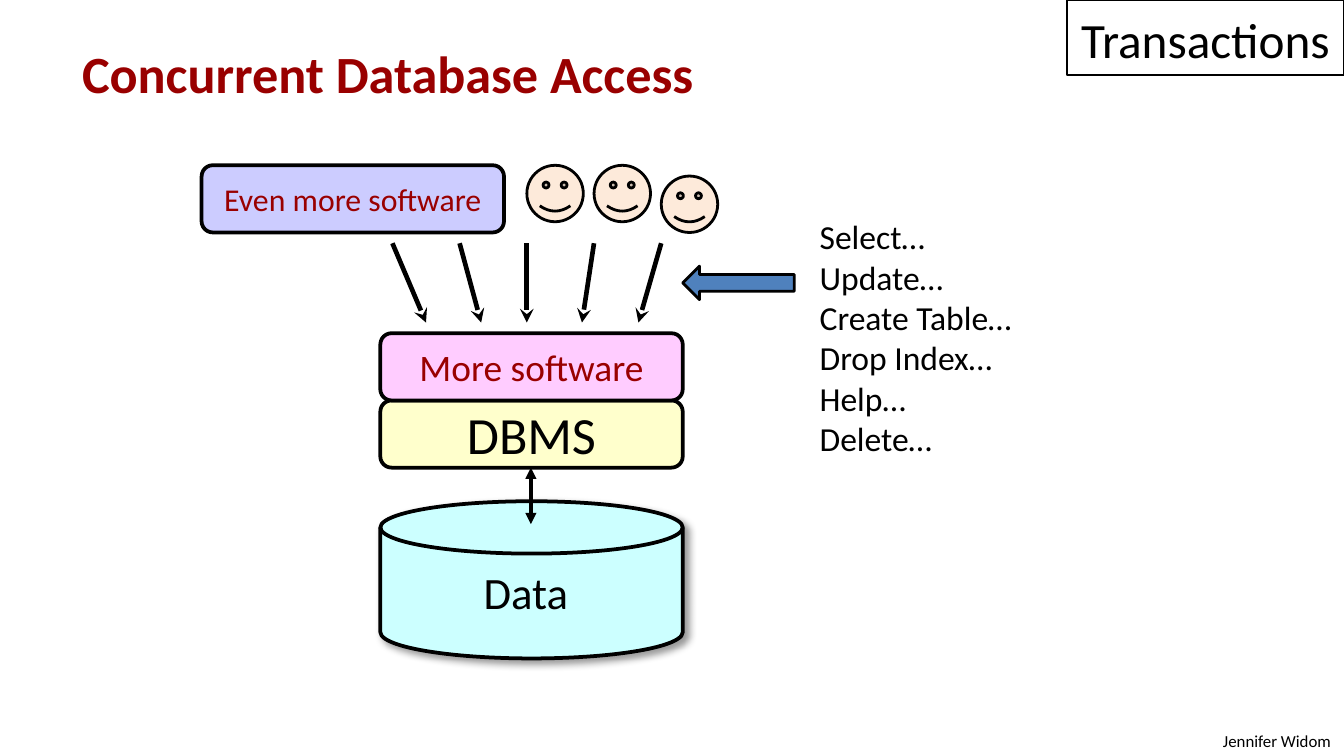
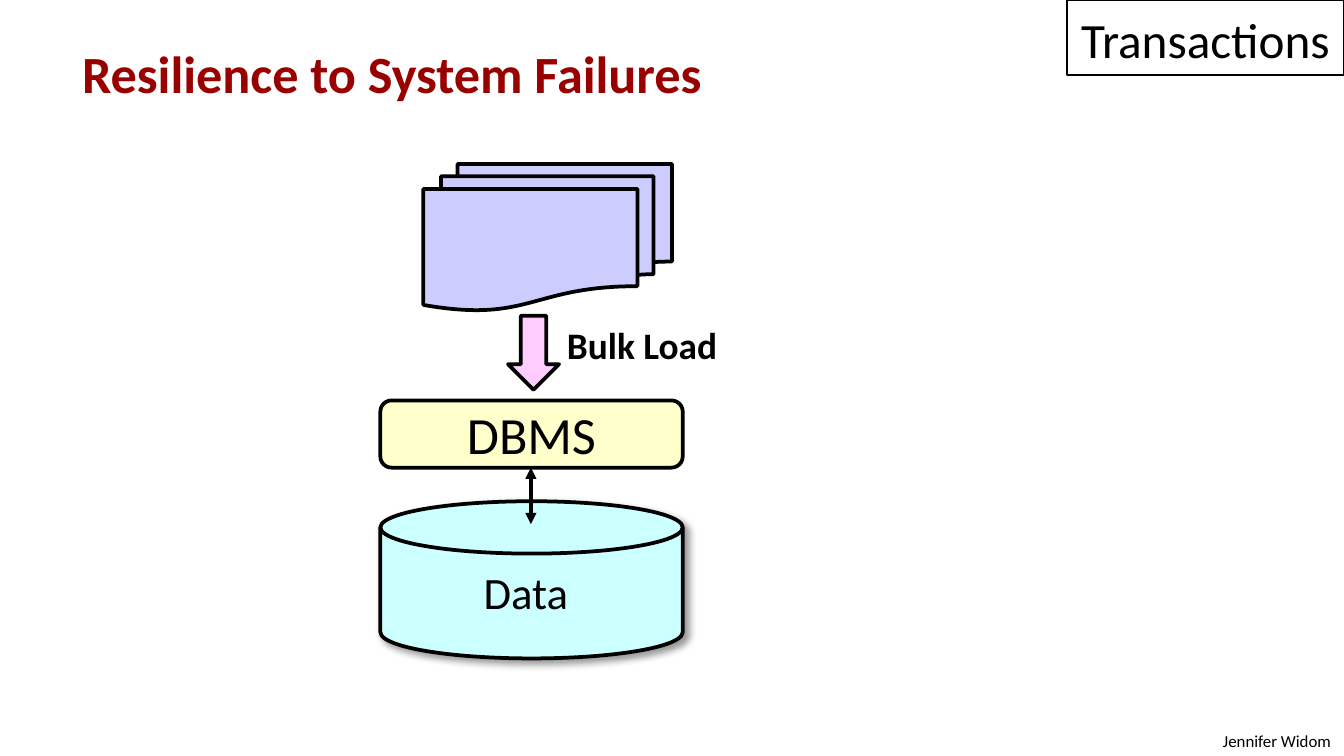
from dataclasses import dataclass
from typing import Optional

from lxml.etree import SubElement
from pptx import Presentation
from pptx.dml.color import RGBColor
from pptx.enum.shapes import MSO_CONNECTOR, MSO_SHAPE as Preset
from pptx.enum.text import MSO_ANCHOR as Anchor, MSO_AUTO_SIZE as AutoSize, PP_ALIGN as Align
from pptx.oxml.ns import qn
from pptx.shapes.autoshape import Shape
from pptx.slide import Slide
from pptx.text.text import TextFrame
from pptx.util import Inches, Pt

FONT = "Calibri"
BLACK = RGBColor(0x00, 0x00, 0x00)
DARK_RED = RGBColor(0x99, 0x00, 0x00)
AQUA = RGBColor(0xCC, 0xFF, 0xFF)
YELLOW = RGBColor(0xFF, 0xFF, 0xCC)
PINK = RGBColor(0xFF, 0xCC, 0xFF)
LAVENDER = RGBColor(0xCC, 0xCC, 0xFF)
SKIN = RGBColor(0xFD, 0xEA, 0xDA)
BLUE = RGBColor(0x4F, 0x81, 0xBD)

# The database stack stands in one column of equal-width boxes
STACK_LEFT, BOX_WIDTH, BOX_HEIGHT = 2.83, 2.25, 0.5
DBMS_TOP = 2.98


@dataclass(frozen=True)
class Block:
    """A filled, outlined preset shape; lengths in inches."""
    preset: Preset
    left: float
    top: float
    width: float
    height: float
    fill: Optional[RGBColor]
    outline: float = 2
    text: str = ""
    size: float = 18
    color: RGBColor = BLACK
    anchor: Anchor = Anchor.MIDDLE


@dataclass(frozen=True)
class Label:
    """Free text in a text box; lengths in inches."""
    text: str
    left: float
    top: float
    width: float
    height: float
    size: float
    bold: bool = False
    align: Align = Align.LEFT
    wrap: bool = False


@dataclass(frozen=True)
class Arrow:
    """A straight line with optional heads at its two ends."""
    start: tuple[float, float]
    end: tuple[float, float]
    width: float
    head: Optional[str] = None
    tail: Optional[str] = None


def write(frame: TextFrame, text: str, size: float, color: RGBColor,
          align: Align, bold: bool = False) -> None:
    frame.text = text
    for paragraph in frame.paragraphs:
        paragraph.alignment = align
        paragraph.font.name = FONT
        paragraph.font.size = Pt(size)
        paragraph.font.bold = bold
        paragraph.font.color.rgb = color


def draw_block(slide: Slide, block: Block) -> Shape:
    shape = slide.shapes.add_shape(block.preset, Inches(block.left), Inches(block.top),
                                   Inches(block.width), Inches(block.height))
    shape.shadow.inherit = False
    if block.fill is None:
        shape.fill.background()
    else:
        shape.fill.solid()
        shape.fill.fore_color.rgb = block.fill
    shape.line.color.rgb = BLACK
    shape.line.width = Pt(block.outline)
    if block.text:
        shape.text_frame.vertical_anchor = block.anchor
        write(shape.text_frame, block.text, block.size, block.color, Align.CENTER)
    return shape


def draw_label(slide: Slide, label: Label) -> None:
    box = slide.shapes.add_textbox(Inches(label.left), Inches(label.top),
                                   Inches(label.width), Inches(label.height))
    frame = box.text_frame
    frame.word_wrap = label.wrap
    frame.auto_size = AutoSize.SHAPE_TO_FIT_TEXT
    write(frame, label.text, label.size, BLACK, label.align, label.bold)


def draw_arrow(shapes, arrow: Arrow) -> None:
    """Draw on a slide's or a group's shapes."""
    points = [Inches(value) for value in (*arrow.start, *arrow.end)]
    connector = shapes.add_connector(MSO_CONNECTOR.STRAIGHT, *points)
    connector.line.color.rgb = BLACK
    connector.line.width = Pt(arrow.width)
    properties = connector._element.spPr
    outline = properties.find(qn("a:ln"))
    for tag, kind in (("a:headEnd", arrow.head), ("a:tailEnd", arrow.tail)):
        if kind:
            SubElement(outline, qn(tag), type=kind)
    SubElement(properties, qn("a:effectLst"))


def cast_shadow(shape: Shape) -> None:
    """Soft black shadow to the lower right."""
    effects = shape._element.spPr.find(qn("a:effectLst"))
    shadow = SubElement(effects, qn("a:outerShdw"), blurRad=str(Pt(4)), dist=str(Pt(3)),
                        dir=str(45 * 60000), algn="tl", rotWithShape="0")
    color = SubElement(shadow, qn("a:srgbClr"), val=str(BLACK))
    SubElement(color, qn("a:alpha"), val="40000")


def start_slide(heading: str) -> Slide:
    """Add a slide with title, topic tag, footer and the database stack."""
    slide = deck.slides.add_slide(deck.slide_layouts[5])

    # Title, at the top of a full-size frame behind the diagram
    title = slide.shapes.title
    title.left, title.top = Inches(0.42), Inches(0.31)
    title.width, title.height = Inches(9.08), Inches(4.98)
    frame = title.text_frame
    frame.auto_size = AutoSize.NONE
    frame.word_wrap = True
    frame.vertical_anchor = Anchor.TOP
    frame.margin_left = Inches(0.19)
    write(frame, heading, 28, DARK_RED, Align.LEFT, bold=True)
    frame.paragraphs[0].line_spacing = 0.9
    frame.paragraphs[0].space_after = Pt(12)

    # Topic tag and footer
    draw_block(slide, Block(Preset.RECTANGLE, 7.94, 0, 2.06, 0.56, None, 0.75,
                            "Transactions", 26.4, anchor=Anchor.BOTTOM))
    draw_label(slide, Label("Jennifer Widom", 8.92, 5.39, 1.08, 0.25, 9,
                            align=Align.RIGHT, wrap=True))

    # Data store below the DBMS
    data_store = draw_block(slide, Block(Preset.FLOWCHART_MAGNETIC_DISK, STACK_LEFT, 3.73,
                                         BOX_WIDTH, 1.17, AQUA))
    cast_shadow(data_store)
    draw_label(slide, Label("Data", 3.5, 4.15, 0.84, 0.5, 24))
    draw_block(slide, Block(Preset.ROUNDED_RECTANGLE, STACK_LEFT, DBMS_TOP, BOX_WIDTH,
                            BOX_HEIGHT, YELLOW, text="DBMS", size=28))
    draw_arrow(slide.shapes, Arrow((3.95, DBMS_TOP + BOX_HEIGHT), (3.95, 3.9), 2,
                                   "triangle", "triangle"))
    return slide


# Widescreen, 16:9
deck = Presentation()
deck.slide_width = Inches(10)
deck.slide_height = deck.slide_width * 9 // 16

# Slide 1: many clients reach the database at once
access = start_slide("Concurrent Database Access")
draw_block(access, Block(Preset.ROUNDED_RECTANGLE, STACK_LEFT, DBMS_TOP - BOX_HEIGHT, BOX_WIDTH,
                         BOX_HEIGHT, PINK, text="More software", size=20, color=DARK_RED))

# Requests start evenly spaced and converge on the software
requests = access.shapes.add_group_shape()
for index, target in enumerate((3.17, 3.58, 3.92, 4.33, 4.75)):
    draw_arrow(requests.shapes, Arrow((2.92 + 0.5 * index, 1.81), (target, 2.4), 2.5,
                                      tail="stealth"))

# Other clients: software and users
draw_block(access, Block(Preset.ROUNDED_RECTANGLE, 1.5, 1.23, BOX_WIDTH, BOX_HEIGHT, LAVENDER,
                         text="Even more software", size=17, color=DARK_RED))
for index, user_top in enumerate((1.23, 1.23, 1.31)):
    draw_block(access, Block(Preset.SMILEY_FACE, 3.92 + 0.5 * index, user_top,
                             0.42, 0.42, SKIN, 1.5))

# Statements sent
draw_block(access, Block(Preset.LEFT_ARROW, 5.08, 1.98, 0.83, 0.25, BLUE, 1.5))
statements = ("Select…", "Update…", "Create Table…", "Drop Index…", "Help…", "Delete…")
draw_label(access, Label("\n".join(statements), 6, 1.56, 1.65, 1.92, 18))

# Slide 2: files are loaded in bulk
resilience = start_slide("Resilience to System Failures")
draw_block(resilience, Block(Preset.FLOWCHART_MULTIDOCUMENT, 3.15, 1.22, 1.85, 1.09, LAVENDER))
draw_block(resilience, Block(Preset.DOWN_ARROW, 3.78, 2.35, 0.38, 0.55, PINK))
draw_label(resilience, Label("Bulk Load", 4.12, 2.35, 1.34, 0.44, 20, bold=True))

deck.save("out.pptx")
